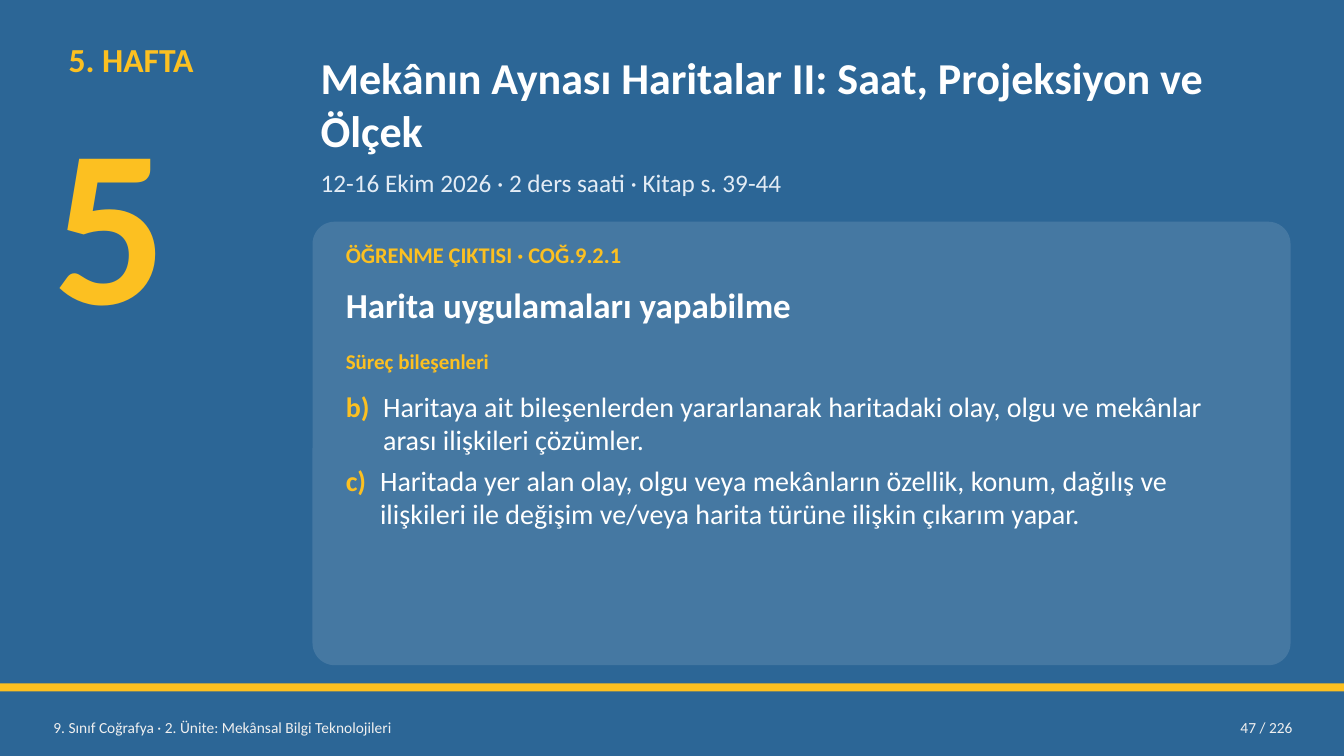
from dataclasses import dataclass

from lxml.etree import SubElement
from pptx import Presentation
from pptx.dml.color import RGBColor
from pptx.enum.shapes import MSO_SHAPE
from pptx.enum.text import MSO_ANCHOR, PP_ALIGN
from pptx.oxml.ns import qn
from pptx.util import Inches, Pt

FONT = "Calibri"
BLUE, GOLD, WHITE = "2C6696", "FCC021", "FFFFFF"
PALE_BLUE, PALE_GREY = "E3ECF5", "F0F0F0"
WIDTH, HEIGHT = 13.33, 7.5
PANEL_LEFT, PANEL_WIDTH = 3.1, 9.7
CONTENT_LEFT, CONTENT_WIDTH = 3.35, 9.2
FOOTER_TOP, FOOTER_HEIGHT = 7.04, 0.36


@dataclass
class Label:
    text: str
    left: float
    top: float
    width: float
    height: float
    size: float
    color: str = WHITE
    bold: bool = False
    align: PP_ALIGN = PP_ALIGN.LEFT
    anchor: MSO_ANCHOR = MSO_ANCHOR.TOP
    inset: float = 0.04


@dataclass
class Component:
    letter: str
    text: str
    indent: float
    space_after: float


LABELS = [
    # Week marker
    Label("5. HAFTA", 0.6, 0.35, 2.6, 0.55, 24, GOLD, True),
    Label("5", 0.45, 0.8, 2.6, 2.75, 160, GOLD, True, inset=0),
    # Heading
    Label("Mekânın Aynası Haritalar II: Saat, Projeksiyon ve Ölçek",
          PANEL_LEFT, 0.45, PANEL_WIDTH, 1.15, 31.5, WHITE, True,
          anchor=MSO_ANCHOR.MIDDLE),
    Label("12-16 Ekim 2026 · 2 ders saati · Kitap s. 39-44",
          PANEL_LEFT, 1.62, PANEL_WIDTH, 0.45, 18, PALE_BLUE),
    # Learning outcome
    Label("ÖĞRENME ÇIKTISI · COĞ.9.2.1",
          CONTENT_LEFT, 2.35, CONTENT_WIDTH, 0.4, 16, GOLD, True),
    Label("Harita uygulamaları yapabilme",
          CONTENT_LEFT, 2.77, CONTENT_WIDTH, 0.53, 25, WHITE, True),
    Label("Süreç bileşenleri",
          CONTENT_LEFT, 3.42, CONTENT_WIDTH, 0.38, 15, GOLD, True),
    # Footer
    Label("9. Sınıf Coğrafya · 2. Ünite: Mekânsal Bilgi Teknolojileri",
          0.45, FOOTER_TOP, 7.6, FOOTER_HEIGHT, 11, PALE_GREY,
          anchor=MSO_ANCHOR.MIDDLE),
    Label("47 / 226", 11.3, FOOTER_TOP, 1.6, FOOTER_HEIGHT, 11, PALE_GREY,
          align=PP_ALIGN.RIGHT, anchor=MSO_ANCHOR.MIDDLE),
]

COMPONENTS = [
    Component("b)", "Haritaya ait bileşenlerden yararlanarak haritadaki olay, "
              "olgu ve mekânlar arası ilişkileri çözümler.", 0.37, 5),
    Component("c)", "Haritada yer alan olay, olgu veya mekânların özellik, "
              "konum, dağılış ve ilişkileri ile değişim ve/veya harita türüne "
              "ilişkin çıkarım yapar.", 0.34, 0),
]


def rgb(color: str) -> RGBColor:
    return RGBColor.from_string(color)


def add_block(slide, kind: MSO_SHAPE, left: float, top: float, width: float,
              height: float, color: str):
    shape = slide.shapes.add_shape(
        kind, Inches(left), Inches(top), Inches(width), Inches(height))
    shape.shadow.inherit = False
    shape.fill.solid()
    shape.fill.fore_color.rgb = rgb(color)
    shape.line.fill.background()
    return shape


def set_opacity(shape, percent: int) -> None:
    color = shape.fill._xPr.find(qn("a:solidFill"))[0]
    SubElement(color, qn("a:alpha")).set("val", str(percent * 1000))


def add_frame(slide, left: float, top: float, width: float, height: float,
              inset: float = 0.04, anchor: MSO_ANCHOR = MSO_ANCHOR.TOP):
    box = slide.shapes.add_textbox(
        Inches(left), Inches(top), Inches(width), Inches(height))
    frame = box.text_frame
    frame.word_wrap = True
    frame.vertical_anchor = anchor
    frame.margin_left = frame.margin_right = Inches(0.08)
    frame.margin_top = frame.margin_bottom = Inches(inset)
    return frame


def add_text(paragraph, text: str, *, size: float, color: str = WHITE,
             bold: bool = False) -> None:
    run = paragraph.add_run()
    run.text = text
    run.font.name = FONT
    run.font.size = Pt(size)
    run.font.bold = bold
    run.font.color.rgb = rgb(color)


def add_label(slide, label: Label) -> None:
    frame = add_frame(slide, label.left, label.top, label.width, label.height,
                      label.inset, label.anchor)
    paragraph = frame.paragraphs[0]
    paragraph.alignment = label.align
    add_text(paragraph, label.text, size=label.size, color=label.color,
             bold=label.bold)


def add_components(slide, components: list[Component]) -> None:
    frame = add_frame(slide, CONTENT_LEFT, 3.82, CONTENT_WIDTH, 2.66)
    for index, component in enumerate(components):
        paragraph = frame.add_paragraph() if index else frame.paragraphs[0]
        paragraph.space_after = Pt(component.space_after)
        # Hanging indent: the tab after the letter stops at the left margin
        properties = paragraph._p.get_or_add_pPr()
        properties.set("marL", str(Inches(component.indent)))
        properties.set("indent", str(-Inches(component.indent)))
        add_text(paragraph, f"{component.letter}\t", size=20, color=GOLD,
                 bold=True)
        add_text(paragraph, component.text, size=20)


def main() -> None:
    presentation = Presentation()
    presentation.slide_width = Inches(WIDTH)
    presentation.slide_height = Inches(HEIGHT)
    slide = presentation.slides.add_slide(presentation.slide_layouts[6])

    # Backdrop, footer rule and translucent panel
    add_block(slide, MSO_SHAPE.RECTANGLE, 0, 0, WIDTH, HEIGHT, BLUE)
    add_block(slide, MSO_SHAPE.RECTANGLE, 0, 6.78, WIDTH, 0.08, GOLD)
    panel = add_block(slide, MSO_SHAPE.ROUNDED_RECTANGLE, PANEL_LEFT, 2.2,
                      PANEL_WIDTH, 4.4, WHITE)
    panel.adjustments[0] = 0.05
    set_opacity(panel, 12)

    # Text
    for label in LABELS:
        add_label(slide, label)
    add_components(slide, COMPONENTS)

    presentation.save("out.pptx")


if __name__ == "__main__":
    main()
